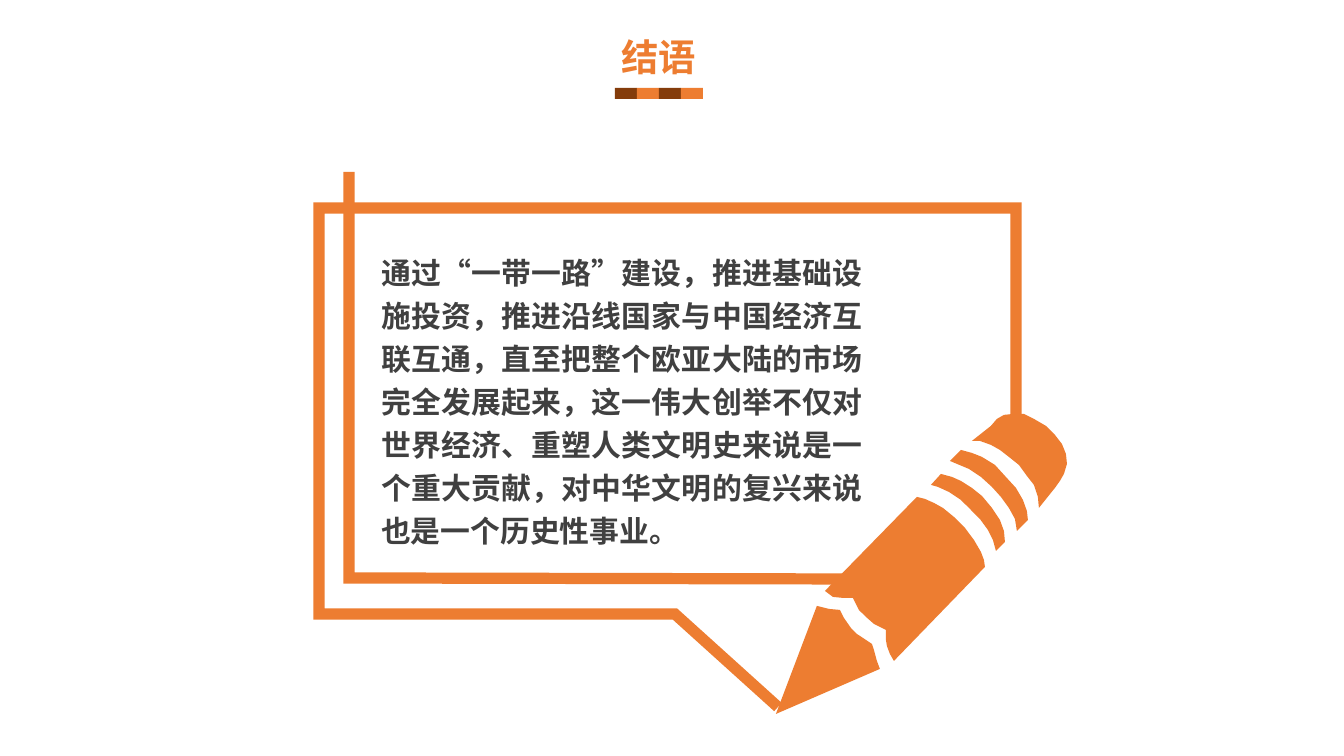
from lxml import etree
from pptx import Presentation, util as u
from pptx.dml.color import RGBColor
from pptx.enum import shapes, text
from pptx.oxml.ns import qn

# Content
FONT = "Noto Sans CJK SC"
ORANGE, BROWN, GREY = "ED7D31", "843C0B", "404040"
TITLE = "结语"
BODY = ("通过“一带一路”建设，推进基础设施投资，推进沿线国家与中国经济互联互通，"
        "直至把整个欧亚大陆的市场完全发展起来，这一伟大创举不仅对世界经济、"
        "重塑人类文明史来说是一个重大贡献，对中华文明的复兴来说也是一个历史性事业。")

# Outlines, in px
FRAME_LINES = [
    [(349, 172), (349, 578), (845, 579)],
    [(1016, 427), (1016, 208), (319, 208), (319, 614), (675, 614), (778, 707)],
]
PENCIL = {
    "tip": [
        (817, 606), (821, 607), (829, 609), (840, 610), (844, 618), (851, 628),
        (857, 634), (866, 640), (872, 644), (874, 650), (877, 661), (880, 669),
        (776, 714)],
    "barrel": [
        (917, 497), (925, 499), (934, 503), (943, 508), (954, 517), (965, 528),
        (974, 540), (981, 552), (984, 560), (985, 567), (894, 661), (890, 654),
        (887, 646), (886, 640), (886, 630), (874, 624), (866, 617), (859, 610),
        (853, 598), (843, 598), (833, 597), (825, 591)],
    "lower band": [
        (941, 474), (952, 477), (961, 481), (972, 488), (982, 496), (992, 508),
        (1000, 520), (1004, 531), (1005, 542), (996, 551), (993, 540), (988, 530),
        (980, 519), (970, 509), (961, 500), (949, 492), (938, 487), (931, 485)],
    "upper band": [
        (961, 450), (972, 453), (982, 457), (995, 465), (1005, 476), (1016, 488),
        (1023, 500), (1027, 511), (1028, 520), (1017, 531), (1015, 519), (1009, 508),
        (1001, 497), (992, 487), (981, 477), (969, 469), (957, 464), (950, 461)],
    "cap": [
        (1013, 414), (1024, 414), (1034, 419), (1046, 426), (1055, 435), (1062, 444),
        (1066, 454), (1067, 464), (1064, 474), (1060, 481), (1055, 488), (1039, 508),
        (1038, 497), (1034, 485), (1027, 476), (1019, 465), (1009, 457), (1000, 450),
        (991, 445), (980, 441), (972, 441), (991, 426), (997, 419), (1004, 415)],
}

PX = 914400 / 134.4


def px(value):
    return u.Emu(round(value * PX))


def color(hex_code):
    return RGBColor.from_string(hex_code)


def fill_shape(shape, hex_code):
    shape.shadow.inherit = False
    shape.fill.solid()
    shape.fill.fore_color.rgb = color(hex_code)
    shape.line.fill.background()


def build_outline(slide, contours, close):
    builder = slide.shapes.build_freeform(*contours[0][0], scale=PX)
    for index, points in enumerate(contours):
        if index:
            builder.move_to(*points[0])
        builder.add_line_segments(points[1:], close=close)
    return builder.convert_to_shape()


def add_text(slide, box, words, size, hex_code, alignment, spacing=None):
    shape = slide.shapes.add_textbox(*map(px, box))
    frame = shape.text_frame
    frame.word_wrap = True
    frame.auto_size = text.MSO_AUTO_SIZE.SHAPE_TO_FIT_TEXT
    frame.text = words
    paragraph = frame.paragraphs[0]
    paragraph.alignment = alignment
    paragraph.line_spacing = spacing
    run = paragraph.runs[0]
    font = run.font
    font.size, font.bold, font.name = u.Pt(size), True, FONT
    font.color.rgb = color(hex_code)
    east_asian = etree.SubElement(run._r.get_or_add_rPr(), qn("a:ea"))
    east_asian.set("typeface", FONT)


presentation = Presentation()
presentation.slide_width, presentation.slide_height = px(1344), px(756)
slide = presentation.slides.add_slide(presentation.slide_layouts[6])

# Speech-bubble frame
for points in FRAME_LINES:
    frame_line = build_outline(slide, [points], close=False)
    frame_line.shadow.inherit = False
    frame_line.fill.background()
    frame_line.line.color.rgb = color(ORANGE)
    frame_line.line.width = u.Pt(6)
    etree.SubElement(frame_line.line._ln, qn("a:miter")).set("lim", "800000")

# Pencil
fill_shape(build_outline(slide, list(PENCIL.values()), close=True), ORANGE)

# Title with its striped underline
add_text(slide, (597, 28, 124, 59), TITLE, 20, ORANGE, text.PP_ALIGN.CENTER)
for index, hex_code in enumerate([BROWN, ORANGE] * 2):
    stripe = slide.shapes.add_shape(
        shapes.MSO_SHAPE.RECTANGLE, px(615 + 22 * index), px(88), px(22), px(11))
    fill_shape(stripe, hex_code)

# Closing statement
add_text(slide, (368, 241, 508, 317), BODY, 16, GREY, text.PP_ALIGN.JUSTIFY, 1.2)

presentation.save("out.pptx")
